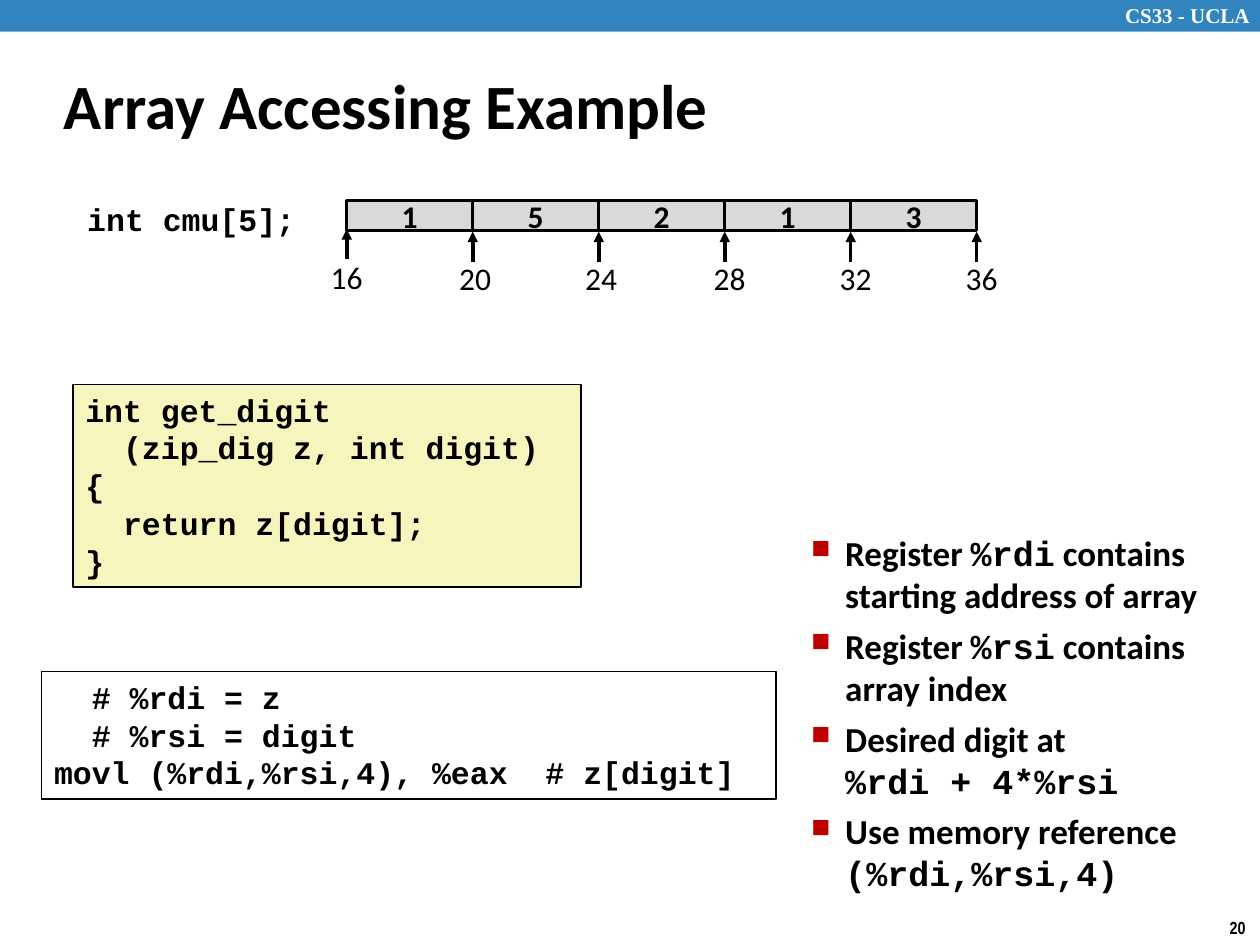
"""Build the slide on accessing array elements."""
from lxml import etree
from pptx import Presentation
from pptx import util as u
from pptx.dml import color
from pptx.enum import shapes, text
from pptx.oxml import ns

SANS, MONO = "Calibri", "Courier New"
DIGITS = ["1", "5", "2", "1", "3"]
ADDRESSES = [("16", 0), ("20", 0.05), ("24", 0.05), ("28", 0.1), ("32", 0.1), ("36", 0.1)]
CELL_LEFT, CELL_TOP, CELL_WIDTH, CELL_HEIGHT = 6.99, 4.04, 2.54, 0.61
LABEL_WIDTH = 2.74

FUNCTION = [
    "int get_digit",
    "  (zip_dig z, int digit)",
    "{",
    "  return z[digit];",
    "}",
]
ASSEMBLY = [
    "  # %rdi = z",
    "  # %rsi = digit",
    "movl (%rdi,%rsi,4), %eax  # z[digit]",
]
NOTES = [
    [("Register ", SANS), ("%rdi", MONO), (" contains starting address of array", SANS)],
    [("Register ", SANS), ("%rsi", MONO), (" contains \narray index", SANS)],
    [("Desired digit at \n", SANS), ("%rdi + 4*%rsi", MONO)],
    [("Use memory reference ", SANS), ("(%rdi,%rsi,4)", MONO)],
]


def rgb(value):
    return color.RGBColor.from_string(value)


def add_bullet(paragraph):
    properties = paragraph._p.get_or_add_pPr()
    properties.set("marL", str(u.Cm(1.12)))
    properties.set("indent", str(-u.Cm(0.69)))
    bullet_color = etree.SubElement(properties, ns.qn("a:buClr"))
    etree.SubElement(bullet_color, ns.qn("a:srgbClr"), val="C00000")
    etree.SubElement(properties, ns.qn("a:buSzPct"), val="75000")
    etree.SubElement(properties, ns.qn("a:buChar"), char="■")


def write(shape, lines, font=SANS, size=18, bold=True, ink="000000", align="LEFT",
          anchor="TOP", wrap=True, bullets=False, gap=0):
    frame = shape.text_frame
    frame.word_wrap = wrap
    frame.vertical_anchor = getattr(text.MSO_ANCHOR, anchor)
    for index, line in enumerate(lines):
        paragraph = frame.paragraphs[0] if index == 0 else frame.add_paragraph()
        if bullets:
            add_bullet(paragraph)
        paragraph.alignment = getattr(text.PP_ALIGN, align)
        if index and gap:
            paragraph.space_before = u.Pt(gap)
        for content, run_font in [(line, font)] if isinstance(line, str) else line:
            for part_index, part in enumerate(content.split("\n")):
                if part_index:
                    paragraph.add_line_break()
                if part:
                    run = paragraph.add_run()
                    run.text = part
                    run.font.name, run.font.size, run.font.bold = run_font, u.Pt(size), bold
                    run.font.color.rgb = rgb(ink)


def add_text(parent, box, lines, **formatting):
    shape = parent.shapes.add_textbox(*map(u.Cm, box))
    write(shape, lines, **formatting)


def add_box(parent, box, lines=(), fill=None, line_width=None, **formatting):
    shape = parent.shapes.add_shape(shapes.MSO_SHAPE.RECTANGLE, *map(u.Cm, box))
    shape.shadow.inherit = False
    if fill:
        shape.fill.solid()
        shape.fill.fore_color.rgb = rgb(fill)
    else:
        shape.fill.background()
    if line_width:
        shape.line.color.rgb = rgb("000000")
        shape.line.width = u.Pt(line_width)
    else:
        shape.line.fill.background()
    write(shape, lines, **formatting)


def add_arrow(parent, x, start, end):
    arrow = parent.shapes.add_connector(
        shapes.MSO_CONNECTOR.STRAIGHT, u.Cm(x), u.Cm(start), u.Cm(x), u.Cm(end))
    arrow.line.color.rgb = rgb("000000")
    arrow.line.width = u.Pt(2)
    etree.SubElement(arrow.line._get_or_add_ln(), ns.qn("a:tailEnd"), type="triangle")
    etree.SubElement(arrow._element.spPr, ns.qn("a:effectLst"))


def add_array(slide):
    group = slide.shapes.add_group_shape()
    for index, digit in enumerate(DIGITS):
        add_box(group, (CELL_LEFT + index * CELL_WIDTH, CELL_TOP, CELL_WIDTH, CELL_HEIGHT),
                [digit], fill="D9D9D9", line_width=2, align="CENTER", anchor="MIDDLE",
                wrap=False)
    for index, (address, shift) in enumerate(ADDRESSES):
        x = CELL_LEFT + index * CELL_WIDTH
        drop = 0.05 if index else 0
        add_arrow(group, x, 5.23 + drop, 4.62 + drop)
        add_text(group, (x + shift - LABEL_WIDTH / 2, 5.08 + drop / 2, LABEL_WIDTH, 1.02),
                 [address], bold=False, align="CENTER")


def main():
    presentation = Presentation()
    presentation.slide_width, presentation.slide_height = u.Cm(25.4), u.Cm(19.05)
    slide = presentation.slides.add_slide(presentation.slide_layouts[6])
    add_box(slide, (0, 0, 25.4, 0.64), fill="3284BF")
    add_text(slide, (22.43, -0.08, 3.15, 0.76), ["CS33 - UCLA"],
             font="Times New Roman", size=12, ink="FFFFFF")
    add_text(slide, (24.54, 18.36, 0.86, 0.69), ["20"],
             font="Arial Narrow", size=10, wrap=False)
    add_text(slide, (1.04, 1.04, 21.08, 2.11), ["Array Accessing Example"],
             size=36, anchor="MIDDLE")
    add_text(slide, (15.67, 10.59, 9.53, 8.28), NOTES, size=20, bullets=True, gap=5)
    add_box(slide, (1.47, 7.75, 10.24, 4.09), FUNCTION, fill="F6F5BD", line_width=1, font=MONO)
    add_box(slide, (0.84, 13.54, 14.81, 2.57), ASSEMBLY, line_width=1, font=MONO)
    add_text(slide, (0.84, 3.91, 5.36, 1.02), ["int cmu[5];"], font=MONO, align="RIGHT")
    add_array(slide)
    presentation.save("out.pptx")


if __name__ == "__main__":
    main()
